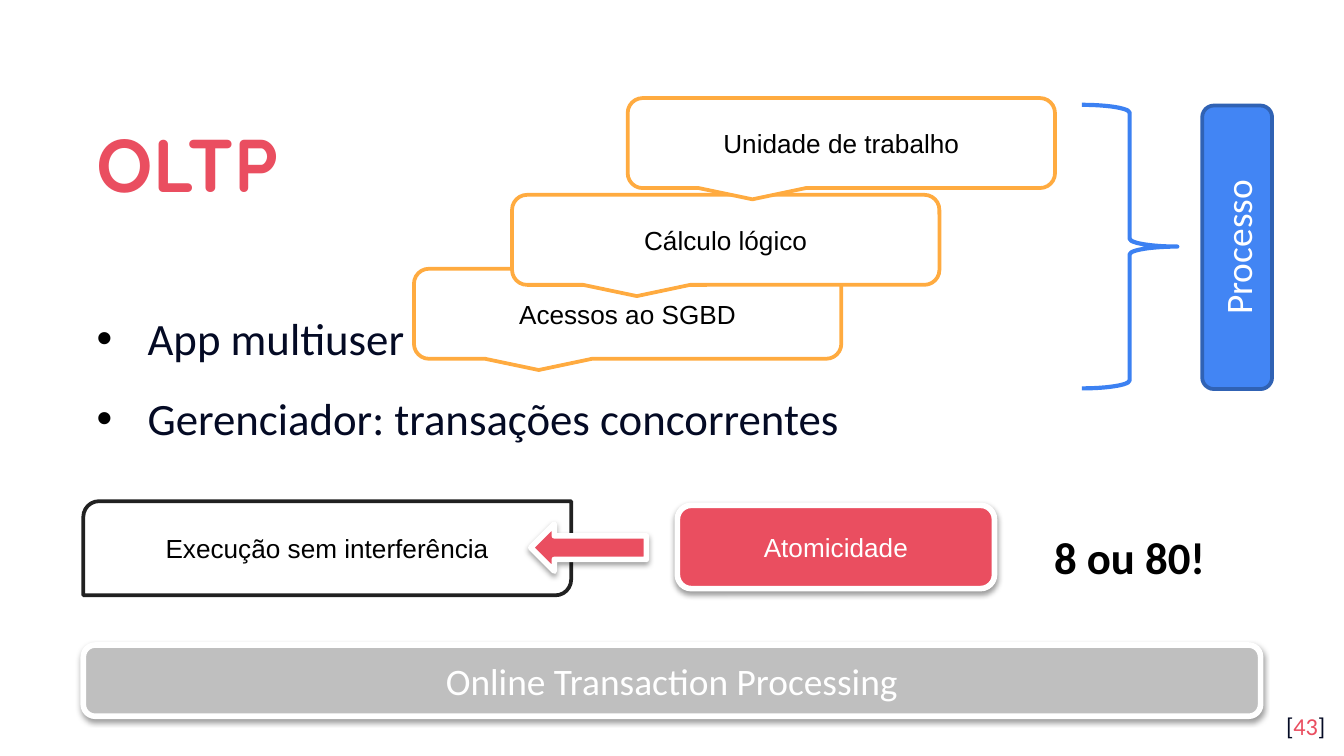
from lxml.etree import SubElement
from pptx import Presentation
from pptx.dml.color import RGBColor
from pptx.enum.shapes import MSO_SHAPE
from pptx.enum.text import MSO_ANCHOR, PP_ALIGN
from pptx.oxml.ns import qn
from pptx.util import Inches, Pt

# 16:9 grid of square cells: 100 columns by 56.25 rows
CELL = 0.1
COLUMNS, ROWS = 100, 56.25
LEFT = 6.2  # shared left margin, in columns

COLORS = {
    "red": "EA4E60", "navy": "040A24", "white": "FFFFFF", "black": "000000",
    "gray": "BFBFBF", "orange": "FFAB40", "blue": "4285F4",
    "dark_blue": "3062B4", "brace": "3C81F2", "charcoal": "212121",
}


def color(name):
    return RGBColor.from_string(COLORS[name])


def grid(*cells):
    return [Inches(round(cell * CELL, 3)) for cell in cells]


def style_run(run, size, font, color_name, bold=False):
    run.font.size = Pt(size)
    run.font.name = font
    run.font.bold = bold
    run.font.color.rgb = color(color_name)


def add_text(slide, box, paragraphs, size, color_name="black", font="Calibri",
             bold=False, align=PP_ALIGN.LEFT, anchor=MSO_ANCHOR.TOP, inset=1):
    """Text box with one style; returns its text frame."""
    text_frame = slide.shapes.add_textbox(*grid(*box)).text_frame
    text_frame.word_wrap = True
    text_frame.vertical_anchor = anchor
    text_frame.margin_top, text_frame.margin_bottom = grid(inset, inset)
    text_frame.text = "\n".join(paragraphs)
    for paragraph in text_frame.paragraphs:
        paragraph.alignment = align
        for run in paragraph.runs:
            style_run(run, size, font, color_name, bold)
    return text_frame


def add_bullet(paragraph):
    properties = paragraph._p.get_or_add_pPr()
    indent = Inches(0.38)
    properties.set("marL", str(indent))
    properties.set("indent", str(-indent))
    bullet_color = SubElement(properties, qn("a:buClr"))
    SubElement(bullet_color, qn("a:srgbClr"), val=COLORS["black"])
    SubElement(properties, qn("a:buFont"), typeface="Arial")
    SubElement(properties, qn("a:buChar"), char="•")


def add_shadow(shape):
    effects = shape._element.spPr.find(qn("a:effectLst"))
    shadow = SubElement(effects, qn("a:outerShdw"), blurRad=str(Pt(3.1)),
                        dist=str(Pt(1.6)), dir="5400000", rotWithShape="0")
    shadow_color = SubElement(shadow, qn("a:srgbClr"), val=COLORS["black"])
    SubElement(shadow_color, qn("a:alpha"), val="38000")


def add_block(slide, kind, box, fill, line, width=2, adjustments=(0.167,),
              text="", size=14, font="Arial", text_color="black",
              rotation=0, shadow=False):
    """Preset shape with an optional centred label."""
    shape = slide.shapes.add_shape(kind, *grid(*box))
    for index, value in enumerate(adjustments):
        shape.adjustments[index] = value
    shape.rotation = rotation
    if fill:
        shape.fill.solid()
        shape.fill.fore_color.rgb = color(fill)
    else:
        shape.fill.background()
    shape.line.color.rgb = color(line)
    shape.line.width = Pt(width)
    shape.shadow.inherit = False
    if shadow:
        add_shadow(shape)
    if text:
        text_frame = shape.text_frame
        text_frame.text = text
        text_frame.word_wrap = True
        text_frame.vertical_anchor = MSO_ANCHOR.MIDDLE
        paragraph = text_frame.paragraphs[0]
        paragraph.alignment = PP_ALIGN.CENTER
        style_run(paragraph.runs[0], size, font, text_color)


def add_page_number(slide):
    text_frame = add_text(slide, (93.6, 51.9, 6, 4.3), [""], 13,
                          align=PP_ALIGN.RIGHT)
    paragraph = text_frame.paragraphs[0]
    for text, color_name in (("[", "navy"), ("43", "red"), ("]", "navy")):
        run = paragraph.add_run()
        run.text = text
        style_run(run, 13, "Calibri", color_name)


def add_bullets(slide, items):
    text_frame = add_text(slide, (LEFT, 16.2, 63.6, 33.7), items, 24, "navy",
                          align=PP_ALIGN.JUSTIFY, anchor=MSO_ANCHOR.MIDDLE)
    text_frame.margin_bottom = Inches(1.14)  # lifts the list above the blocks
    for index, paragraph in enumerate(text_frame.paragraphs):
        add_bullet(paragraph)
        paragraph.line_spacing = 1.14
        if index:
            paragraph.space_before = Pt(10)


def main():
    presentation = Presentation()
    presentation.slide_width, presentation.slide_height = grid(COLUMNS, ROWS)
    slide = presentation.slides.add_slide(presentation.slide_layouts[6])

    # Title, page number and list
    title = add_text(slide, (LEFT, 7, 87.7, 9.2), ["OLTP"], 40, "red",
                     "Quicksand", bold=True, anchor=MSO_ANCHOR.MIDDLE)
    title.paragraphs[0].line_spacing = 1.15
    add_page_number(slide)
    add_bullets(slide, ["App multiuser",
                        "Gerenciador: transações\u00a0concorrentes"])

    # Full-name banner
    raised = {"line": "white", "width": 3, "shadow": True}
    add_block(slide, MSO_SHAPE.ROUNDED_RECTANGLE, (LEFT, 48, 87.6, 5.3), "gray",
              text="Online Transaction Processing", size=20, font="Calibri",
              text_color="white", **raised)

    # Staircase of callouts, from back to front
    for left, top, text in ((30.8, 20, "Acessos ao SGBD"),
                            (38.1, 14.5, "Cálculo lógico"),
                            (46.7, 7.3, "Unidade de trabalho")):
        add_block(slide, MSO_SHAPE.ROUNDED_RECTANGULAR_CALLOUT,
                  (left, top, 31.8, 6.7), "white", "orange",
                  adjustments=(-0.208, 0.625, 0.167), text=text)

    # Brace and the process it sums up
    add_block(slide, MSO_SHAPE.RIGHT_BRACE, (80.5, 7.8, 7.1, 21.1), None,
              "brace", 2.25, (0.083, 0.5))
    add_block(slide, MSO_SHAPE.ROUNDED_RECTANGLE, (81.5, 15.8, 21.1, 5.2),
              "blue", "dark_blue", text="Processo", size=20, font="Calibri",
              text_color="white", rotation=270)

    # Atomicity leads to execution without interference
    add_block(slide, MSO_SHAPE.ROUND_2_DIAG_RECTANGLE, (LEFT, 37.3, 36.3, 7),
              "white", "charcoal", adjustments=(0.167, 0),
              text="Execução sem interferência")
    add_block(slide, MSO_SHAPE.LEFT_ARROW, (39.5, 39, 8.6, 3.5), "red",
              adjustments=(0.5, 0.5), **raised)
    add_block(slide, MSO_SHAPE.ROUNDED_RECTANGLE, (50.4, 37.6, 23.6, 6.2),
              "red", text="Atomicidade", text_color="white", **raised)
    add_text(slide, (75.1, 38.9, 17.9, 5), ["8 ou 80!"], 24, bold=True,
             align=PP_ALIGN.CENTER, inset=0.5)

    presentation.save("out.pptx")


if __name__ == "__main__":
    main()
